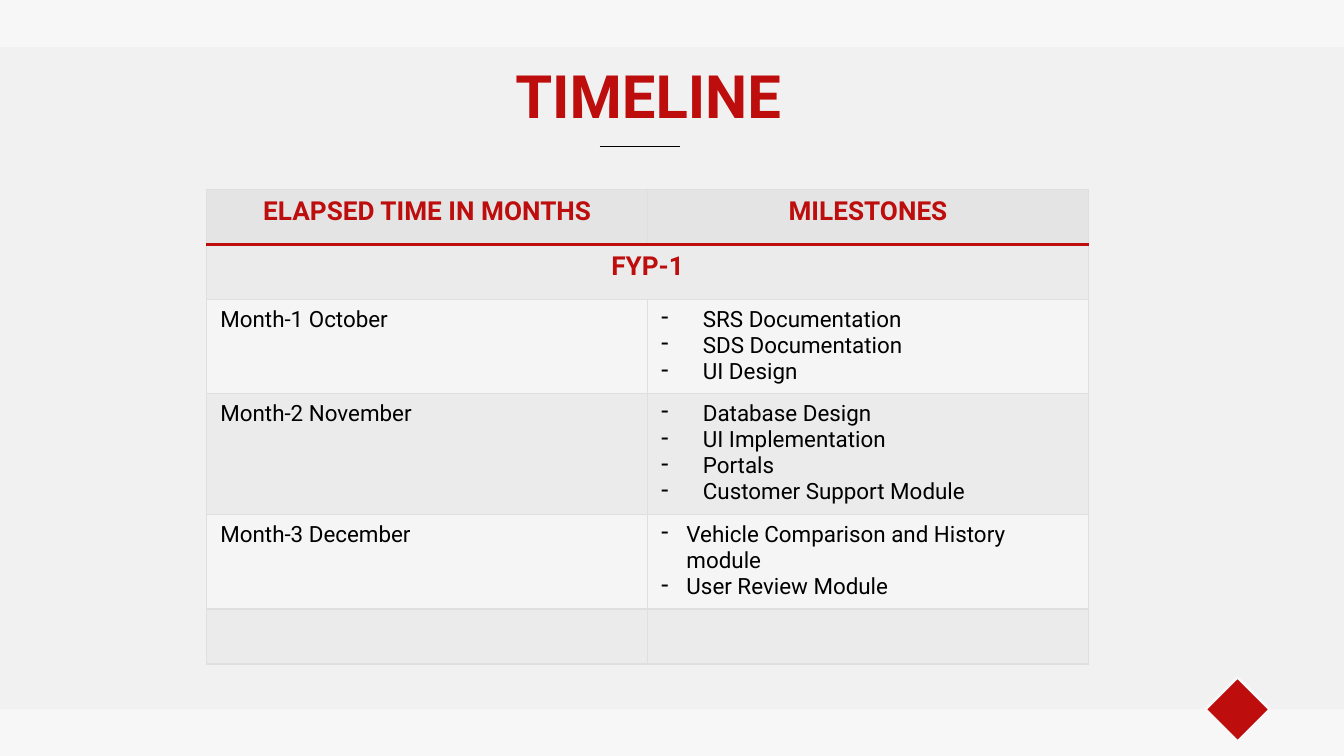
from lxml import etree
from pptx import Presentation
from pptx.dml.color import RGBColor
from pptx.enum.shapes import MSO_CONNECTOR, MSO_SHAPE
from pptx.enum.text import MSO_ANCHOR, PP_ALIGN
from pptx.oxml.ns import qn
from pptx.util import Cm, Pt

LEFT, MID = PP_ALIGN.LEFT, PP_ALIGN.CENTER
TOP = MSO_ANCHOR.TOP
RECT, GEM = MSO_SHAPE.RECTANGLE, MSO_SHAPE.DIAMOND
LINE = MSO_CONNECTOR.STRAIGHT
RED, GREY, EDGE, BLACK = "BD0D0D", "E4E4E4", "DFDFDF", "000000"
PAPER, BAND, PALE = "F7F7F7", "F1F1F1", "F5F5F5"


def color(code):
    return RGBColor.from_string(code)


def write(frame, text, size=12, ink=BLACK, bold=False, align=LEFT, dent=0):
    for i, line in enumerate(text.split("\n")):
        para = frame.add_paragraph() if i else frame.paragraphs[0]
        para.alignment = align
        run = para.add_run()
        run.text = line
        run.font.name = "Roboto"
        run.font.size = Pt(size)
        run.font.bold = bold
        run.font.color.rgb = color(ink)
        if dent:
            props = para._p.get_or_add_pPr()
            props.set("marL", str(Cm(dent)))
            props.set("indent", str(-Cm(dent)))
            tint = etree.SubElement(props, qn("a:buClr"))
            etree.SubElement(tint, qn("a:srgbClr"), val=BLACK)
            etree.SubElement(props, qn("a:buChar"), char="-")


deck = Presentation()
deck.slide_width, deck.slide_height = Cm(25.4), Cm(14.29)
slide = deck.slides.add_slide(deck.slide_layouts[5])
slide.background.fill.solid()
slide.background.fill.fore_color.rgb = color(PAPER)
shapes = slide.shapes

for kind, box, tone in [
    (RECT, (0, 0.89, 25.4, 12.52), BAND),
    (GEM, (22.78, 12.8, 1.22, 1.22), RED),
]:
    shape = shapes.add_shape(kind, *map(Cm, box))
    shape.shadow.inherit = False
    shape.fill.solid()
    shape.fill.fore_color.rgb = color(tone)
    if kind == GEM:
        shape.line.color.rgb = color(PAPER)
        shape.line.width = Pt(1.5)
    else:
        shape.line.fill.background()

title = shapes.title
title.left, title.top, title.width, title.height = map(Cm, (1.55, 0.86, 21.41, 1.6))
frame = title.text_frame
frame.margin_left = frame.margin_right = Cm(0.25)
frame.margin_top = frame.margin_bottom = Cm(0.25)
frame.vertical_anchor = TOP
write(frame, "TIMELINE", size=32, ink=RED, bold=True, align=MID)
title.element.getparent().append(title.element)

rows = [
    (1.04, 0, "ELAPSED TIME IN MONTHS", "MILESTONES"),
    (1.04, 0, "FYP-1", ""),
    (1.78, 0.79, "Month-1 October", "SRS Documentation\nSDS Documentation\nUI Design"),
    (2.29, 0.79, "Month-2 November",
     "Database Design\nUI Implementation\nPortals\nCustomer Support Module"),
    (1.78, 0.48, "Month-3 December",
     "Vehicle Comparison and History module\nUser Review Module"),
    (1.04, 0, "", ""),
]
high = sum(row[0] for row in rows)
table = shapes.add_table(len(rows), 2, Cm(3.91), Cm(3.58), Cm(16.66), Cm(high)).table
table.first_row = table.horz_banding = False
for col in table.columns:
    col.width = Cm(8.33)

for r, (tall, dent, *texts) in enumerate(rows):
    table.rows[r].height = Cm(tall)
    for c, text in enumerate(texts):
        cell = table.cell(r, c)
        props = cell._tc.get_or_add_tcPr()
        for side in "LRTB":
            thick = (r, side) in [(0, "B"), (1, "T")]
            edge = etree.SubElement(props, qn("a:ln" + side), w=str(Pt(2 if thick else 0.75)))
            fill = etree.SubElement(edge, qn("a:solidFill"))
            etree.SubElement(fill, qn("a:srgbClr"), val=RED if thick else EDGE)
        cell.fill.solid()
        cell.fill.fore_color.rgb = color(PALE if r in (2, 4) else GREY)
        if r % 2:
            tone = props.find(qn("a:solidFill")).find(qn("a:srgbClr"))
            etree.SubElement(tone, qn("a:alpha"), val="40000")
        if text and r < 2:
            write(cell.text_frame, text, size=14, ink=RED, bold=True, align=MID)
        elif text:
            write(cell.text_frame, text, dent=dent * c)
table.cell(1, 0).merge(table.cell(1, 1))

rule = shapes.add_connector(LINE, Cm(11.33), Cm(2.77), Cm(12.85), Cm(2.77))
rule.line.color.rgb = color(BLACK)
rule.line.width = Pt(0.75)
etree.SubElement(rule.element.spPr, qn("a:effectLst"))

deck.save("out.pptx")
